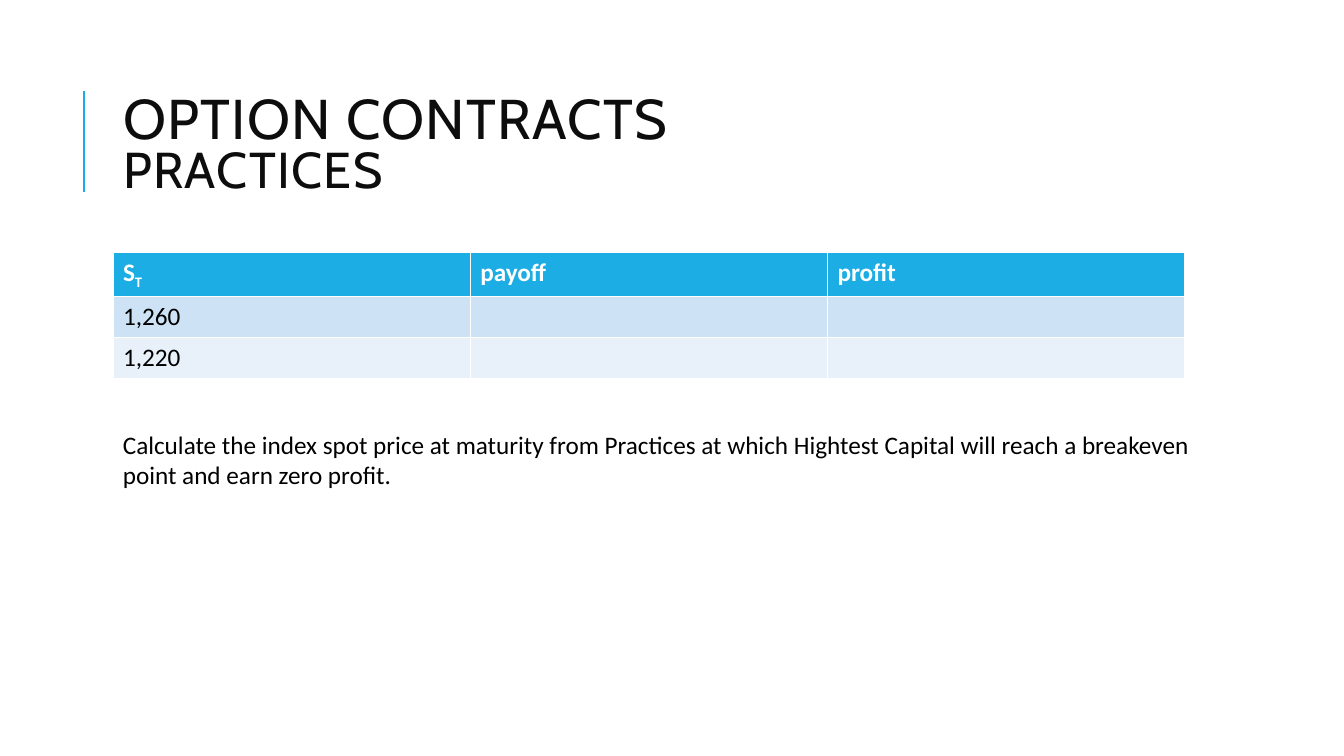
from lxml import etree
from pptx import Presentation
from pptx.dml.color import RGBColor
from pptx.enum.shapes import MSO_CONNECTOR
from pptx.enum.text import MSO_ANCHOR, MSO_AUTO_SIZE, PP_ALIGN
from pptx.oxml.ns import qn
from pptx.util import Inches, Pt

TITLE = [("OPTION CONTRACTS", 40), ("PRACTICES", 36)]
ROWS = [
    [[("S", 0), ("T", -25)], [("payoff", 0)], [("profit", 0)]],
    [[("1,260", 0)], [], []],
    [[("1,220", 0)], [], []],
]
TASK = ("Calculate the index spot price at maturity from Practices at which "
        "Hightest Capital will reach a breakeven point and earn zero profit.")

BLUE = RGBColor(0x1C, 0xAD, 0xE4)
BAND = RGBColor(0xCD, 0xE3, 0xF5)
PALE = RGBColor(0xE8, 0xF1, 0xFA)
WHITE = RGBColor(0xFF, 0xFF, 0xFF)
BLACK = RGBColor(0, 0, 0)
INK = RGBColor(0x0D, 0x0D, 0x0D)
FILLS = [BLUE, BAND, PALE]

LEFT, WIDTH = 1.12, 10.63
ROW_H = 0.41


def add_run(para, text, size, color, face="Calibri", bold=False):
    run = para.add_run()
    run.text = text
    font = run.font
    font.name, font.size, font.bold = face, Pt(size), bold
    font.color.rgb = color
    return run._r.get_or_add_rPr()


def add_title(slide):
    title = slide.shapes.title
    title.left, title.top = Inches(LEFT), Inches(0.64)
    title.width, title.height = Inches(WIDTH), Inches(1.64)
    frame = title.text_frame
    frame.auto_size = MSO_AUTO_SIZE.NONE
    frame.vertical_anchor = MSO_ANCHOR.MIDDLE
    para = frame.paragraphs[0]
    para.alignment = PP_ALIGN.LEFT
    para.line_spacing = 0.8
    for i, (text, size) in enumerate(TITLE):
        if i:
            para.add_line_break()
        add_run(para, text, size, INK, "Cabin").set("spc", "100")


def add_rule(slide):
    rule = slide.shapes.add_connector(
        MSO_CONNECTOR.STRAIGHT,
        Inches(0.83), Inches(1.9), Inches(0.83), Inches(0.9))
    rule.line.color.rgb = BLUE
    rule.line.width = Pt(1.5)
    etree.SubElement(rule._element.spPr, qn("a:effectLst"))


def add_grid(slide):
    """Add the payoff table; its default style draws the white borders."""
    table = slide.shapes.add_table(
        len(ROWS), len(ROWS[0]), Inches(LEFT), Inches(2.5),
        Inches(WIDTH), Inches(ROW_H * len(ROWS))).table
    for r, row in enumerate(ROWS):
        table.rows[r].height = Inches(ROW_H)
        head = r == 0
        for c, runs in enumerate(row):
            cell = table.cell(r, c)
            cell.fill.solid()
            cell.fill.fore_color.rgb = FILLS[r]
            para = cell.text_frame.paragraphs[0]
            for text, base in runs:
                props = add_run(para, text, 18, WHITE if head else BLACK,
                                bold=head)
                if base:
                    props.set("baseline", str(base * 1000))


def add_task(slide):
    box = slide.shapes.add_textbox(
        Inches(LEFT), Inches(4.21), Inches(11.09), Inches(1.01))
    frame = box.text_frame
    frame.word_wrap = True
    add_run(frame.paragraphs[0], TASK, 18, BLACK)


def main():
    deck = Presentation()
    deck.slide_width, deck.slide_height = Inches(13.33), Inches(7.5)
    slide = deck.slides.add_slide(deck.slide_layouts[5])
    add_rule(slide)
    add_title(slide)
    add_grid(slide)
    add_task(slide)
    deck.save("out.pptx")


if __name__ == "__main__":
    main()
